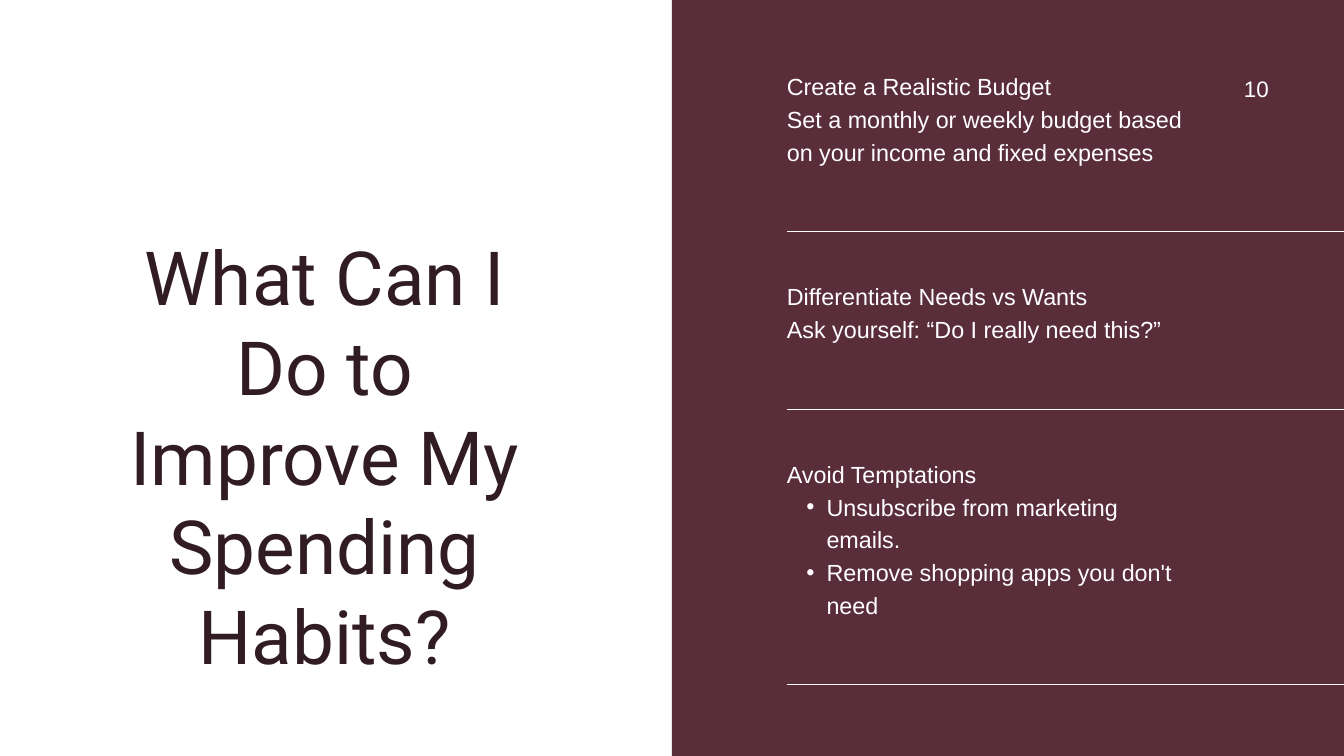
from dataclasses import dataclass

from lxml import etree
from pptx import Presentation
from pptx import util as u
from pptx.dml.color import RGBColor
from pptx.enum import shapes, text
from pptx.oxml import ns

PX = 9144  # EMU per px, 100 px to the inch
COLORS = {"panel": "592D3A", "title": "301C22", "light": "FFFFFF"}
COLUMN_LEFT, COLUMN_WIDTH, SLIDE_WIDTH, SLIDE_HEIGHT = 1171, 610, 2000, 1125


@dataclass(frozen=True)
class Style:
    font: str
    size: int
    line: float
    color: str
    align: text.PP_ALIGN = text.PP_ALIGN.LEFT


@dataclass(frozen=True)
class Tip:
    top: int
    height: int
    rule_y: int
    heading: str
    details: tuple[str, ...]
    bulleted: bool = False


TITLE = Style("Roboto", 80, 96, "title", text.PP_ALIGN.CENTER)
BODY = Style("Arial", 25, 35, "light")
NUMBER = Style("Arial", 24, 33.6, "light", text.PP_ALIGN.RIGHT)

TIPS = (
    Tip(101, 190, 345, "Create a Realistic Budget",
        ("Set a monthly or weekly budget based on your income and fixed expenses",)),
    Tip(413, 142, 610, "Differentiate Needs vs Wants",
        ("Ask yourself: “Do I really need this?”",)),
    Tip(678, 286, 1018, "Avoid Temptations",
        ("Unsubscribe from marketing emails.", "Remove shopping apps you don't need"),
        bulleted=True),
)


def px(length: int) -> u.Emu:
    return u.Emu(length * PX)


def rgb(name: str) -> RGBColor:
    return RGBColor.from_string(COLORS[name])


def place(shape, left: int, top: int, width: int, height: int) -> None:
    shape.left, shape.top = px(left), px(top)
    shape.width, shape.height = px(width), px(height)


def prepare_frame(shape):
    frame = shape.text_frame
    frame.word_wrap = True
    frame.auto_size = text.MSO_AUTO_SIZE.SHAPE_TO_FIT_TEXT
    frame.vertical_anchor = text.MSO_ANCHOR.TOP
    frame.margin_left = frame.margin_right = frame.margin_top = frame.margin_bottom = 0
    return frame


def set_bullet(paragraph, bulleted: bool) -> None:
    properties = paragraph._p.get_or_add_pPr()
    properties.set("marL", str(px(59) if bulleted else 0))
    properties.set("indent", str(px(-30) if bulleted else 0))
    if bulleted:
        paragraph.level = 1
        etree.SubElement(properties, ns.qn("a:buFont"), typeface="Arial")
        etree.SubElement(properties, ns.qn("a:buChar"), char="•")
    else:
        etree.SubElement(properties, ns.qn("a:buNone"))


def write(paragraph, words: str, style: Style, bulleted: bool = False) -> None:
    set_bullet(paragraph, bulleted)
    paragraph.alignment = style.align
    paragraph.line_spacing = u.Pt(style.line)
    paragraph.space_before = paragraph.space_after = u.Pt(0)
    run = paragraph.add_run()
    run.text = words
    run.font.name, run.font.size = style.font, u.Pt(style.size)
    run.font.color.rgb = rgb(style.color)


def add_panel(slide) -> None:
    panel = slide.shapes.add_shape(shapes.MSO_SHAPE.RECTANGLE, 0, 0, 0, 0)
    place(panel, 1000, -168, 1000, 1460)
    panel.shadow.inherit = False
    panel.fill.solid()
    panel.fill.fore_color.rgb = rgb("panel")
    panel.line.fill.background()
    # Behind the placeholders
    slide.shapes._spTree.insert(2, panel._element)


def add_rule(slide, y: int) -> None:
    rule = slide.shapes.add_connector(
        shapes.MSO_CONNECTOR.STRAIGHT, px(SLIDE_WIDTH), px(y), px(COLUMN_LEFT), px(y))
    rule.line.color.rgb = rgb("light")
    rule.line.width = u.Pt(1)
    etree.SubElement(rule._element.spPr, ns.qn("a:effectLst"))


def add_tip(slide, tip: Tip) -> None:
    if tip.bulleted:
        box = slide.placeholders[1]
    else:
        box = slide.shapes.add_textbox(0, 0, 0, 0)
    place(box, COLUMN_LEFT, tip.top, COLUMN_WIDTH, tip.height)
    frame = prepare_frame(box)
    write(frame.paragraphs[0], tip.heading, BODY)
    for detail in tip.details:
        write(frame.add_paragraph(), detail, BODY, tip.bulleted)
    add_rule(slide, tip.rule_y)


def main() -> None:
    deck = Presentation()
    deck.slide_width, deck.slide_height = px(SLIDE_WIDTH), px(SLIDE_HEIGHT)
    slide = deck.slides.add_slide(deck.slide_layouts[1])

    # Question on the left
    question = slide.shapes.title
    place(question, 138, 344, 691, 419)
    write(prepare_frame(question).paragraphs[0],
          "What Can I Do to Improve My Spending Habits?", TITLE)

    # Tips on the right
    add_panel(slide)
    for tip in TIPS:
        add_tip(slide, tip)

    # Page number
    page_number = slide.shapes.add_textbox(px(1840), px(105), px(48), px(46))
    write(prepare_frame(page_number).paragraphs[0], "10", NUMBER)

    deck.save("out.pptx")


if __name__ == "__main__":
    main()
